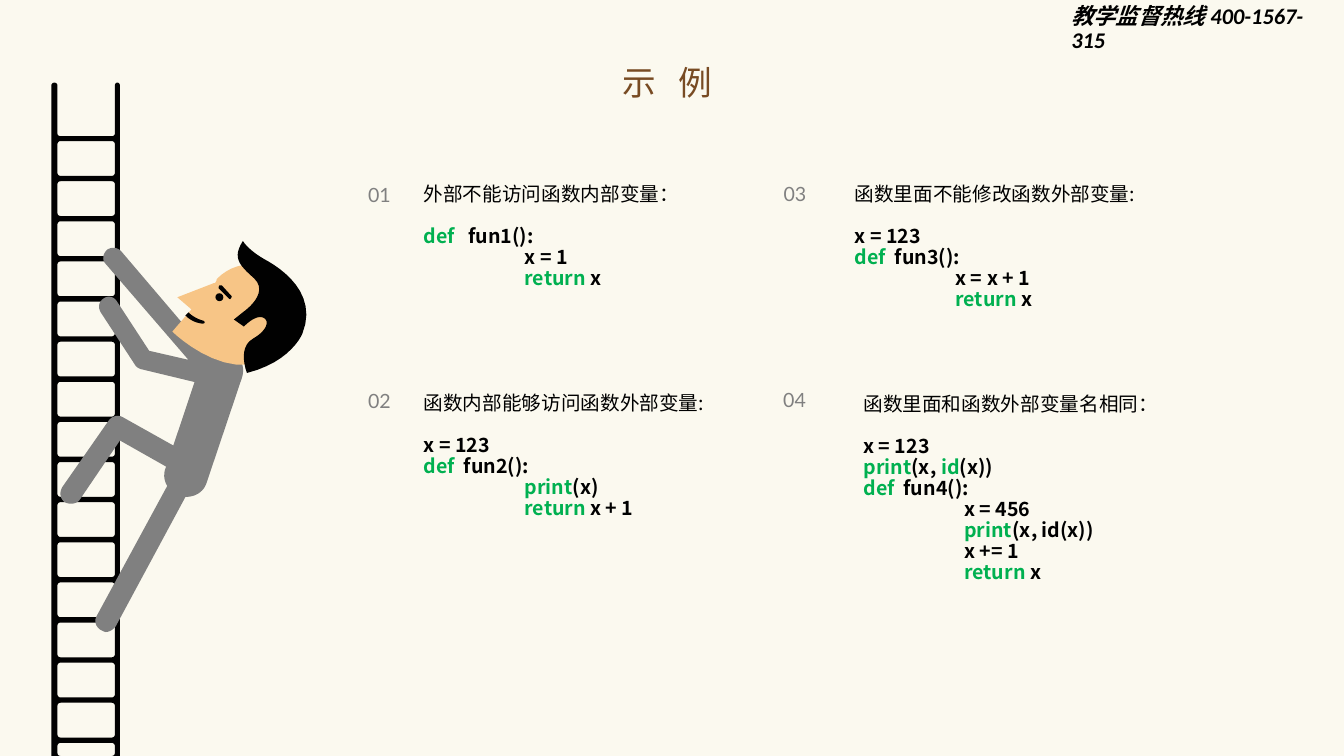
from dataclasses import dataclass

from lxml.etree import SubElement
from pptx import Presentation
from pptx.dml.color import RGBColor
from pptx.enum.shapes import MSO_SHAPE
from pptx.enum.text import MSO_ANCHOR, MSO_AUTO_SIZE, PP_ALIGN
from pptx.oxml.ns import qn
from pptx.util import Cm, Pt


@dataclass(frozen=True)
class Theme:
    cream: str = "F7F2DA"
    title: str = "784B23"
    ink: str = "000000"
    gray: str = "808080"
    keyword: str = "00B050"
    outline: str = "010101"
    skin: str = "F7C586"
    chinese_font: str = "Noto Sans CJK SC"
    number_font: str = "Lato"
    hotline_font: str = "Calibri"
    title_size: int = 24
    hotline_size: int = 16
    text_size: int = 14
    line_pitch: int = 15


THEME = Theme()
GRID = 0.0254  # centimetres per drawing unit
KEYWORDS = {"def", "return", "print", "id"}
# Number, its left and top, text left, top and height (cm), heading, code pieces
EXAMPLES = [
    ("01", 8.36, 4.62, 10.43, 4.52, 2.92, "外部不能访问函数内部变量：",
     [["def", "   fun1():"], ["\tx = 1"], ["\t", "return", " x"]]),
    ("02", 8.36, 9.8, 10.43, 9.8, 3.45, "函数内部能够访问函数外部变量:",
     [["x = 123"], ["def", "  fun2():"], ["\t", "print", "(x)"], ["\t", "return", " x + 1"]]),
    ("03", 18.83, 4.57, 21.29, 4.52, 3.45, "函数里面不能修改函数外部变量:",
     [["x = 123"], ["def", "  fun3():"], ["\tx = x + 1"], ["\t", "return", " x"]]),
    ("04", 18.82, 9.77, 21.51, 9.81, 5.05, "函数里面和函数外部变量名相同：",
     [["x = 123"], ["print", "(x, ", "id", "(x))"], ["def", "  fun4():"], ["\tx = 456"],
      ["\t", "print", "(x, id(x))"], ["\tx += 1"], ["\t", "return", " x"]]),
]
# Outlines in drawing units: a start, then lines (x, y) and cubic curves (six numbers)
BODY = [
    (226, 347), (219, 345, 212, 347, 206, 350), (120, 249), (116, 245, 110, 245, 106, 248),
    (102, 252, 101, 258, 105, 262), (187, 357), (148, 348), (116, 299),
    (113, 294, 107, 293, 103, 296), (98, 299, 97, 305, 100, 310), (134, 362),
    (135, 364, 137, 365, 139, 366), (193, 379), (172, 442), (122, 414),
    (117, 411, 111, 413, 108, 417), (62, 483), (59, 488, 59, 494, 64, 498),
    (69, 501, 76, 500, 79, 496), (119, 437), (165, 463), (164, 465),
    (162, 471, 163, 478, 166, 482), (96, 611), (93, 616, 95, 622, 100, 625),
    (102, 626, 104, 627, 105, 627), (109, 627, 113, 624, 115, 621), (184, 493),
    (194, 493, 202, 488, 205, 479), (240, 375), (244, 363, 238, 351, 226, 347),
]
FACE = [
    (212, 281), (213, 281), (214, 280, 215, 279, 215, 277), (232, 259, 261, 257, 279, 274),
    (302, 295, 303, 322, 286, 341), (238, 395, 171, 329, 171, 329), (190, 307), (176, 295),
]
HAIR = [
    (242, 309), (242, 309, 268, 291, 252, 276), (236, 262, 231, 255, 241, 239),
    (241, 239, 245, 247, 262, 257), (279, 266, 316, 291, 300, 331),
    (300, 331, 289, 359, 245, 370), (245, 370, 235, 345, 251, 336),
    (265, 328, 268, 318, 261, 315), (253, 312, 242, 324, 242, 324), (232, 317),
]
EYEBROW = [(218, 283), (217, 284, 217, 285, 217, 286), (227, 296),
           (228, 297, 229, 297, 229, 296), (230, 295, 230, 294, 230, 294), (220, 283)]
MOUTH = [(203, 320), (203, 319, 202, 318, 201, 318), (194, 316, 189, 312, 187, 310),
         (184, 313), (188, 317, 193, 320, 200, 321), (202, 321, 203, 321, 203, 320)]


def trace(segments, steps=12):
    """Turn lines and cubic curves into points."""
    points = [segments[0]]
    for segment in segments[1:]:
        if len(segment) == 2:
            points.append(segment)
            continue
        controls = (points[-1], segment[:2], segment[2:4], segment[4:])
        for t in (step / steps for step in range(1, steps + 1)):
            weights = ((1 - t) ** 3, 3 * t * (1 - t) ** 2, 3 * t * t * (1 - t), t ** 3)
            points.append(tuple(sum(w * control[axis] for w, control in zip(weights, controls))
                                for axis in (0, 1)))
    return points


def rounded_cell(top, bottom, left=57, right=114, r=3, k=1.3):
    return trace([
        (left + r, top), (right - r, top), (right - k, top, right, top + k, right, top + r),
        (right, bottom - r), (right, bottom - k, right - k, bottom, right - r, bottom),
        (left + r, bottom), (left + k, bottom, left, bottom - k, left, bottom - r),
        (left, top + r), (left, top + k, left + k, top, left + r, top)], 5)


def paint(shape, color):
    shape.shadow.inherit = False
    shape.fill.solid()
    shape.fill.fore_color.rgb = RGBColor.from_string(color)
    shape.line.fill.background()


def add_outline(slide, color, *contours):
    """Add one filled freeform; contours after the first are holes."""
    contours = [[(Cm(x * GRID), Cm(y * GRID)) for x, y in contour] for contour in contours]
    builder = slide.shapes.build_freeform(*contours[0][0], scale=1.0)
    for contour in contours:
        builder.move_to(*contour[0])
        builder.add_line_segments(contour[1:], close=True)
    paint(builder.convert_to_shape(), color)


def add_backdrop(slide, width, height):
    backdrop = slide.shapes.add_shape(MSO_SHAPE.RECTANGLE, 0, 0, width, height)
    paint(backdrop, THEME.cream)
    color = backdrop._element.spPr.find(qn("a:solidFill"))[0]
    SubElement(color, qn("a:alpha"), val="43000")


def add_ladder(slide):
    frame = trace([(51, 750), (51, 85), (51, 81, 57, 81, 57, 85), (57, 132),
                   (57, 134, 58, 135, 60, 135), (111, 135), (113, 135, 114, 134, 114, 132),
                   (114, 85), (114, 81, 119, 81, 119, 85), (119, 750)])
    tops = [140 + 39.8 * index for index in range(16)]
    add_outline(slide, THEME.outline, frame,
                *(rounded_cell(top, min(top + 34.5, 750)) for top in tops))


def add_climber(slide):
    for color, segments in ((THEME.gray, BODY), (THEME.skin, FACE), (THEME.outline, HAIR),
                            (THEME.outline, EYEBROW), (THEME.outline, MOUTH)):
        add_outline(slide, color, trace(segments))
    eye = slide.shapes.add_shape(MSO_SHAPE.OVAL, Cm(5.43), Cm(7.39), Cm(0.2), Cm(0.2))
    paint(eye, THEME.outline)


def add_run(paragraph, text, size, color, font=THEME.chinese_font, bold=False):
    run = paragraph.add_run()
    run.text = text
    run.font.size, run.font.name, run.font.bold = Pt(size), font, bold
    run.font.color.rgb = RGBColor.from_string(color)
    SubElement(run.font._element, qn("a:ea"), typeface=THEME.chinese_font)
    return run


def add_text_frame(slide, left, top, width, height):
    box = slide.shapes.add_textbox(Cm(left), Cm(top), Cm(width), Cm(height))
    box.text_frame.word_wrap = True
    return box.text_frame


def set_title(slide):
    title = slide.shapes.title
    title.left, title.top, title.width, title.height = map(Cm, (11.23, 1.42, 11.18, 1.27))
    title.text_frame.auto_size = MSO_AUTO_SIZE.NONE
    title.text_frame.vertical_anchor = MSO_ANCHOR.TOP
    paragraph = title.text_frame.paragraphs[0]
    paragraph.alignment = PP_ALIGN.CENTER
    spaced = add_run(paragraph, "示 ", THEME.title_size, THEME.title)
    spaced.font._element.set("spc", "550")
    add_run(paragraph, "例", THEME.title_size, THEME.title)


def add_hotline(slide):
    paragraph = add_text_frame(slide, 26.75, 0, 7.12, 0.99).paragraphs[0]
    paragraph.line_spacing = 0.9
    add_run(paragraph, "教学监督热线 400-1567-315", THEME.hotline_size, THEME.ink,
            THEME.hotline_font, bold=True).font.italic = True


def add_number(slide, number, left, top):
    frame = add_text_frame(slide, left, top, 2.41, 0.66)
    frame.vertical_anchor = MSO_ANCHOR.MIDDLE
    frame.margin_top = frame.margin_bottom = Cm(0.08)
    paragraph = frame.paragraphs[0]
    paragraph.alignment, paragraph.line_spacing = PP_ALIGN.CENTER, Pt(THEME.line_pitch)
    add_run(paragraph, number, THEME.text_size, THEME.gray, THEME.number_font)


def add_example(slide, left, top, height, heading, code):
    frame = add_text_frame(slide, left, top, 8.13, height)
    frame.paragraphs[0].line_spacing = Pt(THEME.line_pitch)
    add_run(frame.paragraphs[0], heading, THEME.text_size, THEME.ink)
    for index, pieces in enumerate(code):
        paragraph = frame.add_paragraph()
        paragraph.line_spacing = Pt(THEME.line_pitch)
        paragraph.space_before = Pt(0 if index else THEME.line_pitch)
        tabs = SubElement(paragraph._p.get_or_add_pPr(), qn("a:tabLst"))
        SubElement(tabs, qn("a:tab"), pos=str(Cm(2.54)), algn="l")
        for piece in pieces:
            color = THEME.keyword if piece in KEYWORDS else THEME.ink
            add_run(paragraph, piece, THEME.text_size, color, bold=True)


def main():
    presentation = Presentation()
    presentation.slide_width, presentation.slide_height = Cm(33.87), Cm(19.05)
    slide = presentation.slides.add_slide(presentation.slide_layouts[5])
    add_backdrop(slide, presentation.slide_width, presentation.slide_height)
    slide.shapes._spTree.append(slide.shapes.title._element)  # title in front of backdrop
    add_hotline(slide)
    add_ladder(slide)
    add_climber(slide)
    set_title(slide)
    for number, number_left, number_top, *example in EXAMPLES:
        add_number(slide, number, number_left, number_top)
        add_example(slide, *example)
    presentation.save("out.pptx")


if __name__ == "__main__":
    main()
